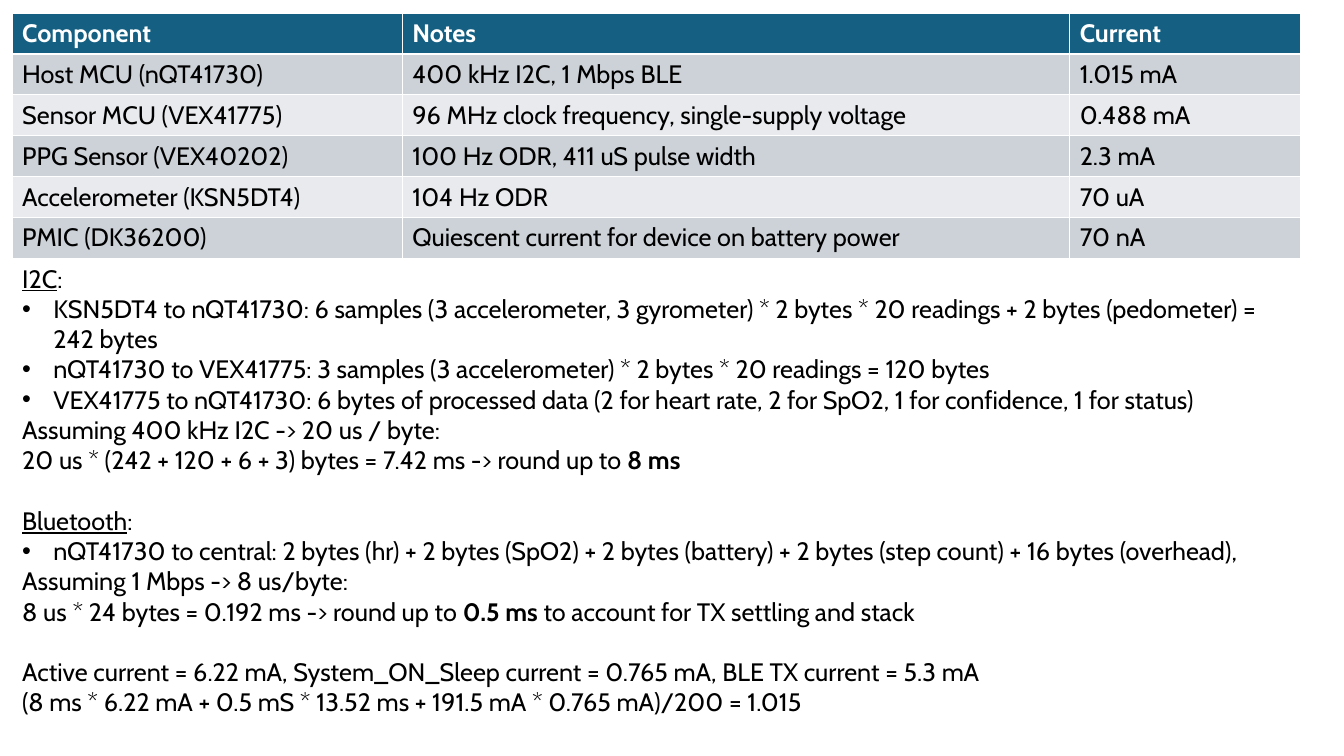
from lxml import etree
from pptx import Presentation
from pptx import util as u
from pptx.dml.color import RGBColor
from pptx.enum import text
from pptx.oxml.ns import qn

COLORS = {"header": "156082", "odd": "CCD2D8", "even": "E8EAED",
          "white": "FFFFFF", "black": "000000"}
FONT, SIZE = "Cabin", 18
LEFT, TOP, TABLE_HEIGHT = 0.12, 0.13, 2.43
COLUMNS = [3.87, 6.62, 2.29]
INDENT = u.Inches(0.31)


def write(paragraph, words, color="black", bold=False, underline=False):
    run = paragraph.add_run()
    run.text = words
    run.font.name, run.font.size = FONT, u.Pt(SIZE)
    run.font.bold, run.font.underline = bold, underline
    run.font.color.rgb = RGBColor.from_string(COLORS[color])


prs = Presentation()
prs.slide_width, prs.slide_height = u.Inches(13.33), u.Inches(7.5)
slide = prs.slides.add_slide(prs.slide_layouts[1])
unused_title = slide.shapes.title.element
unused_title.getparent().remove(unused_title)

# Current draw of each component
components = [
    ("Component", "Notes", "Current"),
    ("Host MCU (nQT41730)", "400 kHz I2C, 1 Mbps BLE", "1.015 mA"),
    ("Sensor MCU (VEX41775)", "96 MHz clock frequency, single-supply voltage", "0.488 mA"),
    ("PPG Sensor (VEX40202)", "100 Hz ODR, 411 uS pulse width", "2.3 mA"),
    ("Accelerometer (KSN5DT4)", "104 Hz ODR", "70 uA"),
    ("PMIC (DK36200)", "Quiescent current for device on battery power", "70 nA"),
]
currents = slide.shapes.add_table(
    len(components), len(COLUMNS), u.Inches(LEFT), u.Inches(TOP),
    u.Inches(sum(COLUMNS)), u.Inches(TABLE_HEIGHT)).table
for column, width in zip(currents.columns, COLUMNS):
    column.width = u.Inches(width)
for r, component in enumerate(components):
    band = "header" if r == 0 else "odd" if r % 2 else "even"
    for c, entry in enumerate(component):
        cell = currents.cell(r, c)
        cell.fill.solid()
        cell.fill.fore_color.rgb = RGBColor.from_string(COLORS[band])
        write(cell.text_frame.paragraphs[0], entry,
              color="black" if r else "white", bold=r == 0)

# Timing calculations: (kind of line, [(words, format), ...])
BOLD, UNDERLINE = {"bold": True}, {"underline": True}
calculations = [
    ("plain", [("I2C", UNDERLINE), (":", {})]),
    ("bullet", [("KSN5DT4 to nQT41730: 6 samples (3 accelerometer, 3 gyrometer) * 2 bytes"
                 " * 20 readings + 2 bytes (pedometer) = 242 bytes", {})]),
    ("bullet", [("nQT41730 to VEX41775: 3 samples (3 accelerometer) * 2 bytes"
                 " * 20 readings = 120 bytes", {})]),
    ("bullet", [("VEX41775 to nQT41730: 6 bytes of processed data (2 for heart rate,"
                 " 2 for SpO2, 1 for confidence, 1 for status)", {})]),
    ("plain", [("Assuming 400 kHz I2C -> 20 us / byte:", {})]),
    ("plain", [("20 us * (242 + 120 + 6 + 3) bytes = 7.42 ms -> round up to ", {}),
               ("8 ms", BOLD)]),
    ("section", [("Bluetooth", UNDERLINE), (":", {})]),
    ("bullet", [("nQT41730 to central: 2 bytes (hr) + 2 bytes (SpO2) + 2 bytes (battery)"
                 " + 2 bytes (step count) + 16 bytes (overhead),", {})]),
    ("plain", [("Assuming 1 Mbps -> 8 us/byte:", {})]),
    ("plain", [("8 us * 24 bytes = 0.192 ms -> round up to ", {}), ("0.5 ms ", BOLD),
               ("to account for TX settling and stack", {})]),
    ("section", [("Active current = 6.22 mA, System_ON_Sleep current = 0.765 mA,"
                  " BLE TX current = 5.3 mA", {})]),
    ("plain", [("(8 ms * 6.22 mA + 0.5 mS * 13.52 ms + 191.5 mA * 0.765 mA)/200"
                " = 1.015", {})]),
]

timing = slide.placeholders[1]
timing.left, timing.top = u.Inches(LEFT), u.Inches(TOP + TABLE_HEIGHT)
timing.width, timing.height = u.Inches(12.62), u.Inches(4.9)
frame = timing.text_frame
frame.word_wrap = True
frame.auto_size = text.MSO_AUTO_SIZE.NONE
frame.vertical_anchor = text.MSO_ANCHOR.TOP
for i, (kind, pieces) in enumerate(calculations):
    line = frame.add_paragraph() if i else frame.paragraphs[0]
    line.space_before = u.Pt(21.7 if kind == "section" else 0)
    for words, style in pieces:
        write(line, words, **style)
    # Hanging bullet or flush line
    props = line._p.get_or_add_pPr()
    indent = INDENT if kind == "bullet" else 0
    props.set("marL", str(indent))
    props.set("indent", str(-indent))
    if kind == "bullet":
        etree.SubElement(props, qn("a:buFont")).set("typeface", "Arial")
        etree.SubElement(props, qn("a:buChar")).set("char", "•")
    else:
        etree.SubElement(props, qn("a:buNone"))

prs.save("out.pptx")
